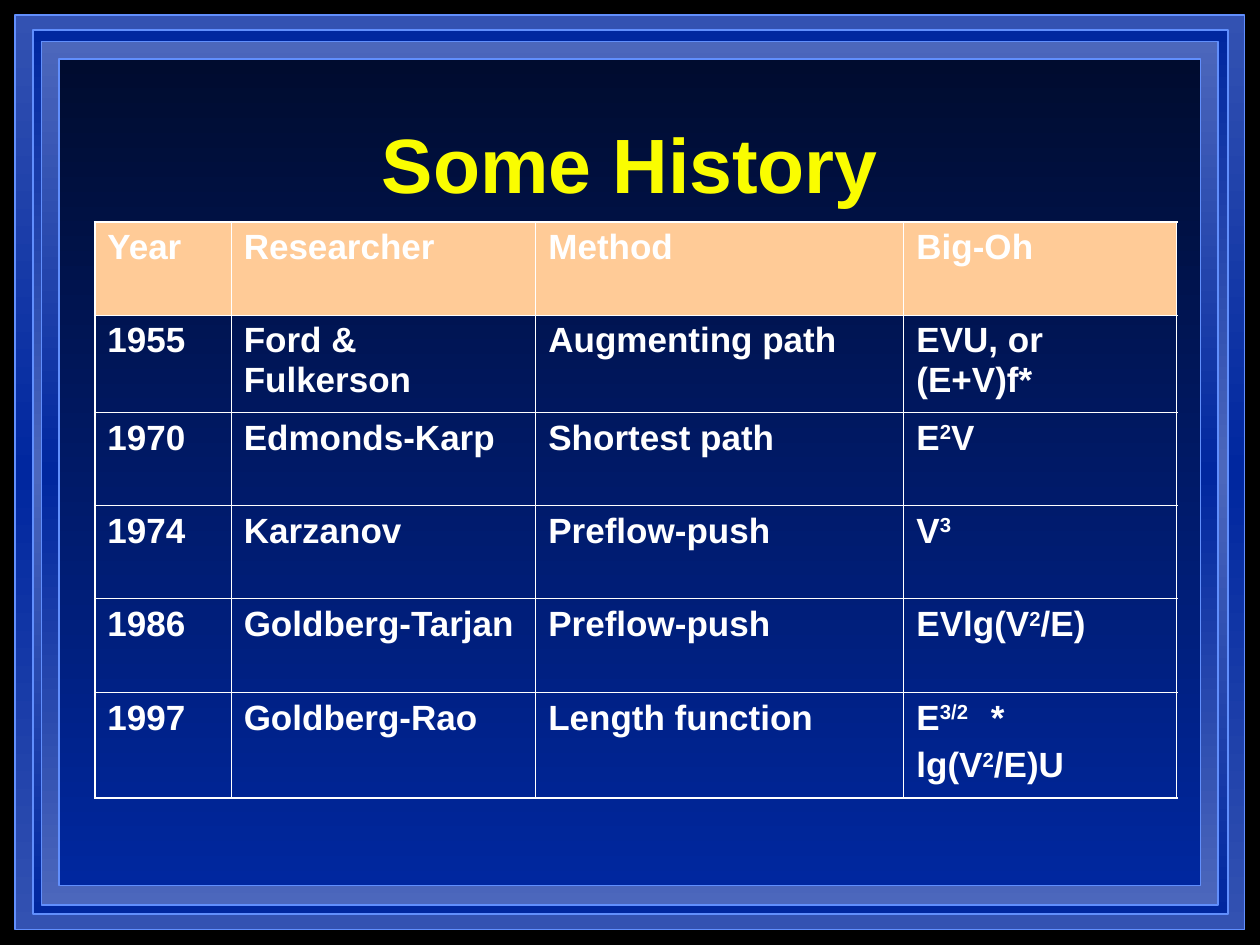
from copy import deepcopy

from lxml.etree import SubElement
from pptx import Presentation
from pptx.dml.color import RGBColor
from pptx.enum.shapes import MSO_SHAPE as Shape
from pptx.enum.text import MSO_ANCHOR as Anchor, PP_ALIGN as Align
from pptx.oxml.ns import qn
from pptx.util import Cm, Pt

TITLE = "Some History"
# Text between carets is superscript.
HISTORY = [
    ("Year", "Researcher", "Method", "Big-Oh"),
    ("1955", "Ford & Fulkerson", "Augmenting path", "EVU, or (E+V)f*"),
    ("1970", "Edmonds-Karp", "Shortest path", "E^2^V"),
    ("1974", "Karzanov", "Preflow-push", "V^3^"),
    ("1986", "Goldberg-Tarjan", "Preflow-push", "EVlg(V^2^/E)"),
    ("1997", "Goldberg-Rao", "Length function", "E^3/2^\t*\nlg(V^2^/E)U"),
]
COLUMN_WIDTHS = [2.75, 6.14, 7.42, 5.5]
ROW_HEIGHTS = [1.88, 1.96, 1.88, 1.88, 1.88, 2.13]

# Left, top, width, height and gradient colours from top to bottom
FRAMES = [
    ((0.31, 0.31, 24.78, 18.43), ("3352B2", "00279F", "3352B2")),
    ((0.66, 0.61, 24.1, 17.81), ("00279F", "4C67BC", "00279F")),
    ((0.84, 0.84, 23.72, 17.4), ("4C67BC", "00279F", "4C67BC")),
    ((1.19, 1.19, 23.01, 16.66), ("000C2F", "00279F")),
]
FRAME_LINE, HEADER_FILL = "618FFD", "FFCB97"
WHITE, YELLOW, BLACK = "FFFFFF", "FAFD00", "000000"
OUTER, INNER = 1.08, 0.45
ASTERISK_TAB = 1.5


def rgb(value):
    return RGBColor.from_string(value)


def style(font, size, color):
    font.name, font.size, font.bold = "Arial", Pt(size), True
    font.color.rgb = rgb(color)


def add_frame(slide, box, colors):
    frame = slide.shapes.add_shape(Shape.RECTANGLE, *map(Cm, box))
    frame.shadow.inherit = False
    frame.line.color.rgb = rgb(FRAME_LINE)
    frame.line.width = Pt(1)
    frame.fill.gradient()
    frame.fill.gradient_angle = 270
    stop_list = frame._element.spPr.find(".//" + qn("a:gsLst"))
    while len(stop_list) < len(colors):
        stop_list.append(deepcopy(stop_list[0]))
    for i, (stop, color) in enumerate(zip(frame.fill.gradient_stops, colors)):
        stop.position = i / (len(colors) - 1)
        stop.color.rgb = rgb(color)


def add_title(slide):
    title = slide.shapes.add_textbox(Cm(1.91), Cm(1.7), Cm(21.59), Cm(3.18))
    frame = title.text_frame
    frame.word_wrap = True
    frame.vertical_anchor = Anchor.MIDDLE
    frame.text = TITLE
    frame.paragraphs[0].alignment = Align.CENTER
    style(frame.paragraphs[0].runs[0].font, 44, YELLOW)


def write_line(paragraph, line):
    """Write one line, raising the parts between carets."""
    if "\t" in line:
        tabs = SubElement(paragraph._p.get_or_add_pPr(), qn("a:tabLst"))
        SubElement(tabs, qn("a:tab"), pos=str(Cm(ASTERISK_TAB)), algn="l")
    for i, part in enumerate(line.split("^")):
        if part:
            run = paragraph.add_run()
            run.text = part
            style(run.font, 20, WHITE)
            if i % 2:
                run.font._element.set("baseline", "30000")


def set_borders(cell, widths):
    properties = cell._tc.get_or_add_tcPr()
    for side, width in zip("LRTB", widths):
        line = SubElement(properties, qn(f"a:ln{side}"), w=str(Pt(width)))
        fill = SubElement(line, qn("a:solidFill"))
        SubElement(fill, qn("a:srgbClr"), val=WHITE)


def add_history(slide):
    last_row, last_column = len(HISTORY) - 1, len(COLUMN_WIDTHS) - 1
    table = slide.shapes.add_table(
        len(HISTORY), len(COLUMN_WIDTHS), Cm(1.91), Cm(4.47),
        Cm(sum(COLUMN_WIDTHS)), Cm(sum(ROW_HEIGHTS))).table
    table.first_row = table.horz_banding = False
    for column, width in zip(table.columns, COLUMN_WIDTHS):
        column.width = Cm(width)
    for r, (height, entries) in enumerate(zip(ROW_HEIGHTS, HISTORY)):
        table.rows[r].height = Cm(height)
        for c, entry in enumerate(entries):
            cell = table.cell(r, c)
            edges = (c == 0, c == last_column, r == 0, r == last_row)
            set_borders(cell, [OUTER if edge else INNER for edge in edges])
            if r == 0:
                cell.fill.solid()
                cell.fill.fore_color.rgb = rgb(HEADER_FILL)
            else:
                cell.fill.background()
            frame = cell.text_frame
            for i, line in enumerate(entry.split("\n")):
                paragraph = frame.add_paragraph() if i else frame.paragraphs[0]
                if i:
                    paragraph.space_before = Pt(5)
                write_line(paragraph, line)


def main():
    deck = Presentation()
    deck.slide_width, deck.slide_height = Cm(25.4), Cm(19.05)
    slide = deck.slides.add_slide(deck.slide_layouts[6])
    slide.background.fill.solid()
    slide.background.fill.fore_color.rgb = rgb(BLACK)
    for box, colors in FRAMES:
        add_frame(slide, box, colors)
    add_title(slide)
    add_history(slide)
    deck.save("out.pptx")


if __name__ == "__main__":
    main()
